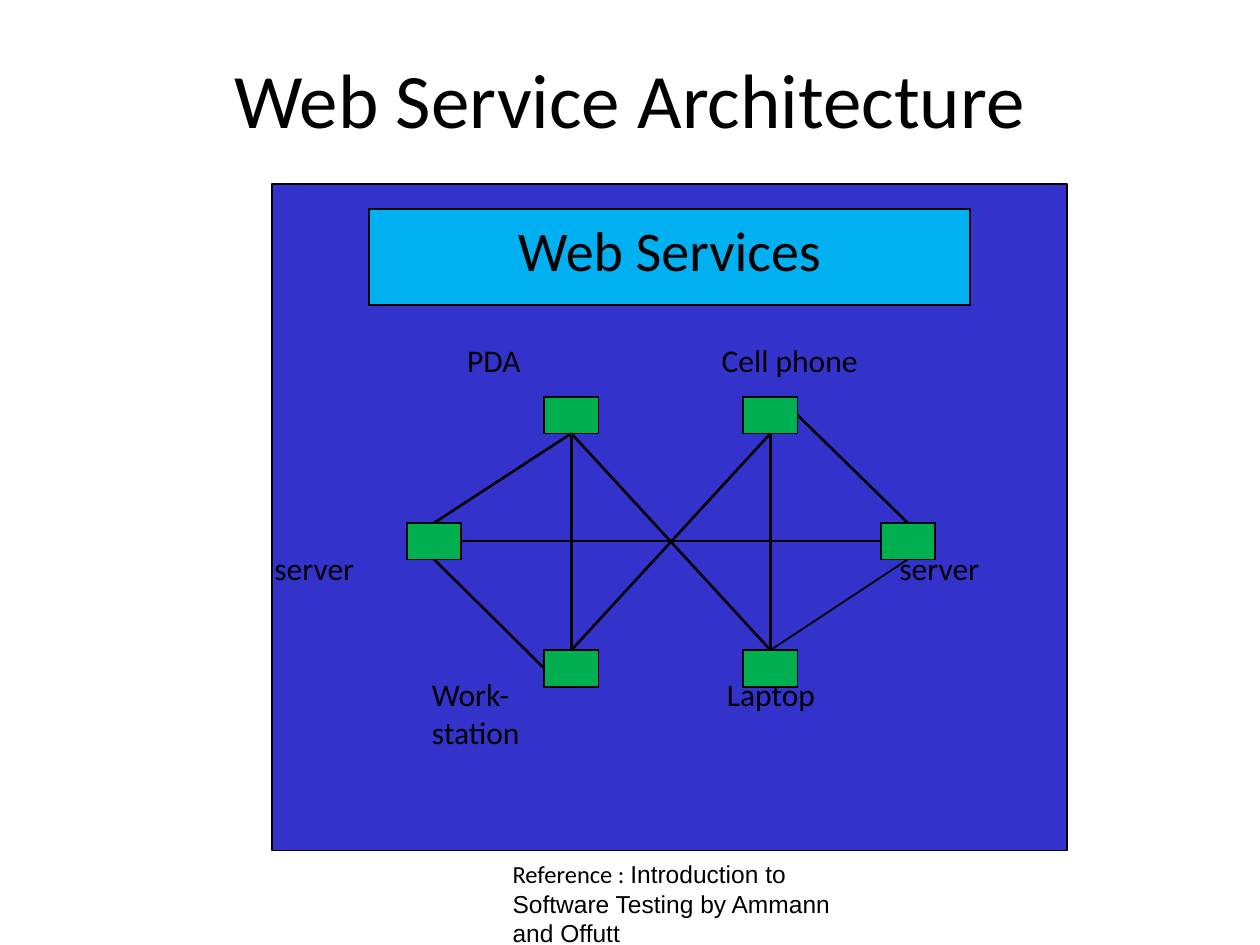
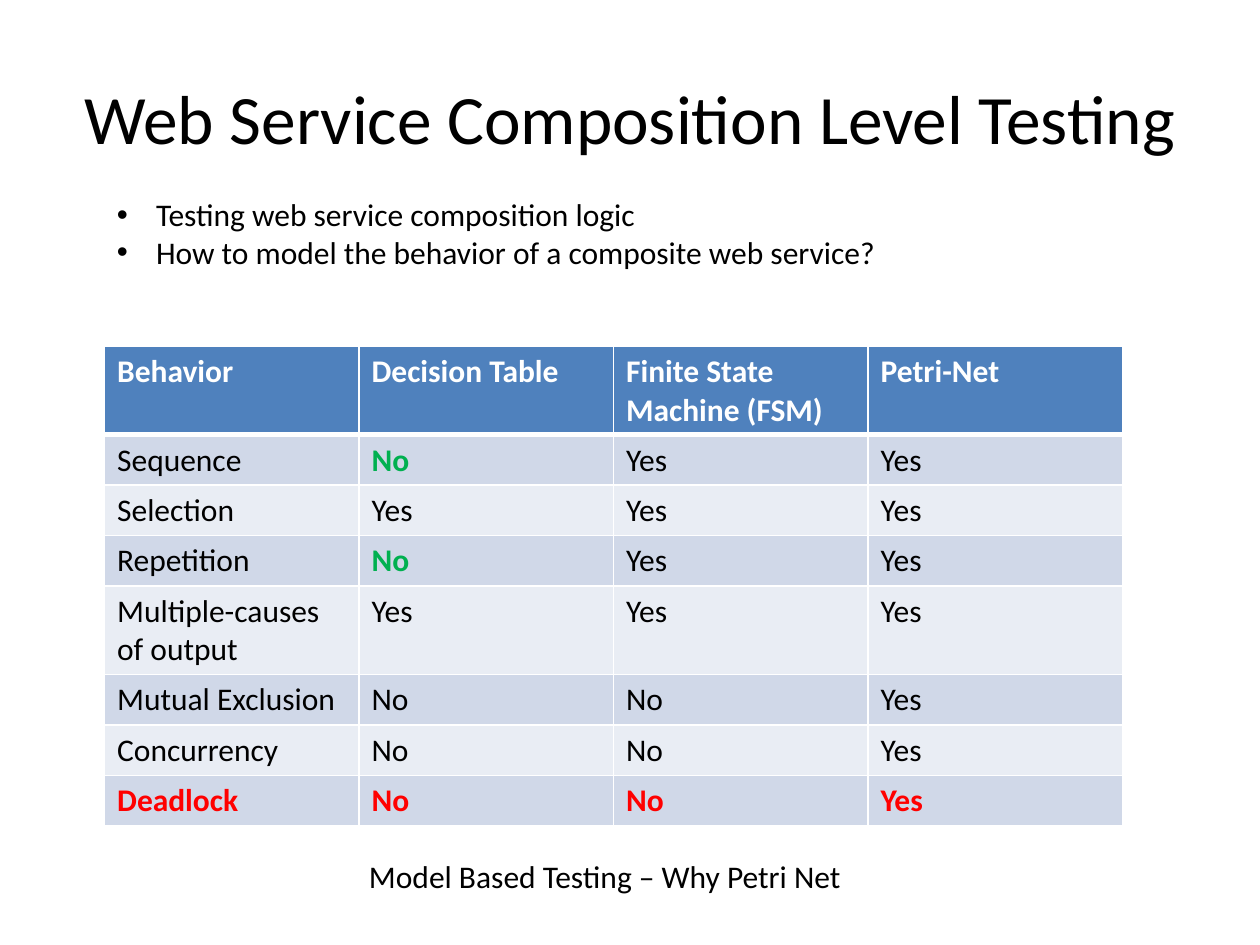
from dataclasses import dataclass
from typing import NamedTuple

from lxml.etree import SubElement
from pptx import Presentation
from pptx.dml.color import RGBColor
from pptx.enum.shapes import MSO_CONNECTOR, MSO_SHAPE
from pptx.enum.text import MSO_ANCHOR, PP_ALIGN
from pptx.oxml.ns import qn
from pptx.util import Inches, Pt

COLORS = {
    "black": "000000",
    "white": "FFFFFF",
    "panel": "3333CC",
    "banner": "00B0F0",
    "green": "00B050",
    "red": "FF0000",
    "header": "4F81BD",
    "odd_row": "D0D8E8",
    "even_row": "E9EDF4",
}
FONT = "Calibri"
TITLE_ONLY_LAYOUT = 5
NODE_WIDTH, NODE_HEIGHT = 0.43, 0.29
TOP, LEFT, BOTTOM, RIGHT = range(4)  # connection sites of a rectangle


class Box(NamedTuple):
    left: float
    top: float
    width: float
    height: float

    def lengths(self) -> list:
        return [Inches(value) for value in self]


@dataclass
class Device:
    left: float
    top: float
    label: str
    label_box: Box


class Link(NamedTuple):
    start: str
    start_site: int
    end: str
    end_site: int
    width: float = 1.5


DEVICES = {
    "left server": Device(3.23, 4.15, "server", Box(2.08, 4.31, 1.63, 0.51)),
    "right server": Device(6.99, 4.15, "server", Box(7.04, 4.31, 1.63, 0.51)),
    "laptop": Device(5.9, 5.16, "Laptop", Box(5.67, 5.31, 1.85, 0.51)),
    "workstation": Device(4.32, 5.16, "Work-\nstation", Box(3.33, 5.31, 1.74, 0.91)),
    "pda": Device(4.32, 3.15, "PDA", Box(3.61, 2.66, 1.34, 0.51)),
    "cell phone": Device(5.9, 3.15, "Cell phone", Box(5.63, 2.66, 2.56, 0.51)),
}

LINKS = [
    Link("pda", BOTTOM, "left server", TOP),
    Link("pda", BOTTOM, "workstation", TOP),
    Link("cell phone", BOTTOM, "laptop", TOP),
    Link("left server", BOTTOM, "workstation", LEFT),
    Link("cell phone", RIGHT, "right server", TOP),
    Link("right server", BOTTOM, "laptop", TOP, 1),
    Link("left server", RIGHT, "right server", LEFT),
    Link("pda", BOTTOM, "laptop", TOP),
    Link("cell phone", BOTTOM, "workstation", TOP),
]

BEHAVIORS = [
    ("Behavior", "Decision Table", "Finite State Machine (FSM)", "Petri-Net"),
    ("Sequence", "No", "Yes", "Yes"),
    ("Selection", "Yes", "Yes", "Yes"),
    ("Repetition", "No", "Yes", "Yes"),
    ("Multiple-causes of output", "Yes", "Yes", "Yes"),
    ("Mutual Exclusion", "No", "No", "Yes"),
    ("Concurrency", "No", "No", "Yes"),
    ("Deadlock", "No", "No", "Yes"),
]
TWO_LINE_ROWS = {0, 4}
GREEN_CELLS = {(1, 1), (3, 1)}


def rgb(color: str) -> RGBColor:
    return RGBColor.from_string(COLORS[color])


def format_text(text_frame, size: float, color: str = "black", bold: bool = False) -> None:
    for paragraph in text_frame.paragraphs:
        for run in paragraph.runs:
            run.font.name = FONT
            run.font.size = Pt(size)
            run.font.bold = bold
            run.font.color.rgb = rgb(color)


def add_titled_slide(presentation, title: str, box: Box, size: float):
    slide = presentation.slides.add_slide(presentation.slide_layouts[TITLE_ONLY_LAYOUT])
    shape = slide.shapes.title
    shape.left, shape.top, shape.width, shape.height = box.lengths()
    shape.text_frame.text = title
    shape.text_frame.vertical_anchor = MSO_ANCHOR.MIDDLE
    shape.text_frame.paragraphs[0].alignment = PP_ALIGN.CENTER
    format_text(shape.text_frame, size)
    return slide


def add_text(slide, box: Box, text: str, size: float = 18):
    text_frame = slide.shapes.add_textbox(*box.lengths()).text_frame
    text_frame.word_wrap = True
    text_frame.text = text
    format_text(text_frame, size)
    return text_frame


def add_rectangle(slide, box: Box, fill: str, line_width: float = 1):
    shape = slide.shapes.add_shape(MSO_SHAPE.RECTANGLE, *box.lengths())
    shape.shadow.inherit = False
    shape.fill.solid()
    shape.fill.fore_color.rgb = rgb(fill)
    shape.line.color.rgb = rgb("black")
    shape.line.width = Pt(line_width)
    return shape


def add_link(slide, link: Link, nodes: dict) -> None:
    connector = slide.shapes.add_connector(MSO_CONNECTOR.STRAIGHT, 0, 0, 0, 0)
    connector.begin_connect(nodes[link.start], link.start_site)
    connector.end_connect(nodes[link.end], link.end_site)
    connector.line.color.rgb = rgb("black")
    connector.line.width = Pt(link.width)
    SubElement(connector.element.spPr, qn("a:effectLst"))


def add_bullets(text_frame, indent: float) -> None:
    for paragraph in text_frame.paragraphs:
        properties = paragraph._p.get_or_add_pPr()
        properties.set("marL", str(Inches(indent)))
        properties.set("indent", str(-Inches(indent)))
        SubElement(properties, qn("a:buFont"), typeface="Arial")
        SubElement(properties, qn("a:buChar"), char="•")


def set_borders(cell, widths: dict) -> None:
    properties = cell._tc.get_or_add_tcPr()
    for side, width in widths.items():
        line = SubElement(properties, qn(f"a:ln{side}"), w=str(Pt(width)))
        fill = SubElement(line, qn("a:solidFill"))
        SubElement(fill, qn("a:srgbClr"), val=COLORS["white"])


def cell_style(row: int, column: int) -> tuple[str, bool]:
    """Return the text colour and weight of a table cell."""
    if row == 0:
        return "white", True
    if row == len(BEHAVIORS) - 1:
        return "red", True
    if (row, column) in GREEN_CELLS:
        return "green", True
    return "black", False


def add_behavior_table(slide, box: Box) -> None:
    frame = slide.shapes.add_table(len(BEHAVIORS), len(BEHAVIORS[0]), *box.lengths())
    table = frame.table
    for row, texts in enumerate(BEHAVIORS):
        table.rows[row].height = Inches(0.7 if row in TWO_LINE_ROWS else 0.4)
        fill = "header" if row == 0 else "odd_row" if row % 2 else "even_row"
        borders = {"L": 1, "R": 1, "T": 3 if row == 1 else 1, "B": 3 if row == 0 else 1}
        for column, text in enumerate(texts):
            cell = table.cell(row, column)
            set_borders(cell, borders)
            cell.fill.solid()
            cell.fill.fore_color.rgb = rgb(fill)
            cell.text_frame.text = text
            format_text(cell.text_frame, 18, *cell_style(row, column))


def build_architecture_slide(presentation) -> None:
    slide = add_titled_slide(
        presentation, "Web Service Architecture", Box(0.5, 0.3, 9, 0.95), 44)

    # Panel and banner
    add_rectangle(slide, Box(2.16, 1.46, 6.31, 5.29), "panel", 0.75)
    banner = add_rectangle(slide, Box(2.93, 1.66, 4.77, 0.76), "banner")
    banner.text_frame.text = "Web Services"
    banner.text_frame.vertical_anchor = MSO_ANCHOR.TOP
    banner.text_frame.paragraphs[0].alignment = PP_ALIGN.CENTER
    format_text(banner.text_frame, 32)

    # Network of devices
    nodes = {
        name: add_rectangle(
            slide, Box(device.left, device.top, NODE_WIDTH, NODE_HEIGHT), "green")
        for name, device in DEVICES.items()
    }
    for link in LINKS:
        add_link(slide, link, nodes)
    for device in DEVICES.values():
        add_text(slide, device.label_box, device.label)

    # Reference
    reference = add_text(slide, Box(3.97, 6.77, 2.93, 0.81), "Reference : ", 14)
    book = reference.paragraphs[0].add_run()
    book.text = "Introduction to Software Testing by Ammann and Offutt"
    format_text(reference, 14)
    book.font.name = "Arial"


def build_testing_slide(presentation) -> None:
    slide = add_titled_slide(
        presentation, "Web Service Composition Level Testing", Box(0.5, 0.3, 9, 1.25), 39.6)
    questions = add_text(
        slide, Box(0.83, 1.5, 8.58, 1.01),
        "Testing web service composition logic\n"
        "How to model the behavior of a composite web service?")
    add_bullets(questions, 0.31)
    add_behavior_table(slide, Box(0.83, 2.75, 8.08, 3.8))
    add_text(slide, Box(2.83, 6.75, 3.99, 0.4), "Model Based Testing – Why Petri Net")


def main() -> None:
    presentation = Presentation()
    presentation.slide_width = Inches(10)
    presentation.slide_height = Inches(7.5)
    build_architecture_slide(presentation)
    build_testing_slide(presentation)
    presentation.save("out.pptx")


if __name__ == "__main__":
    main()
